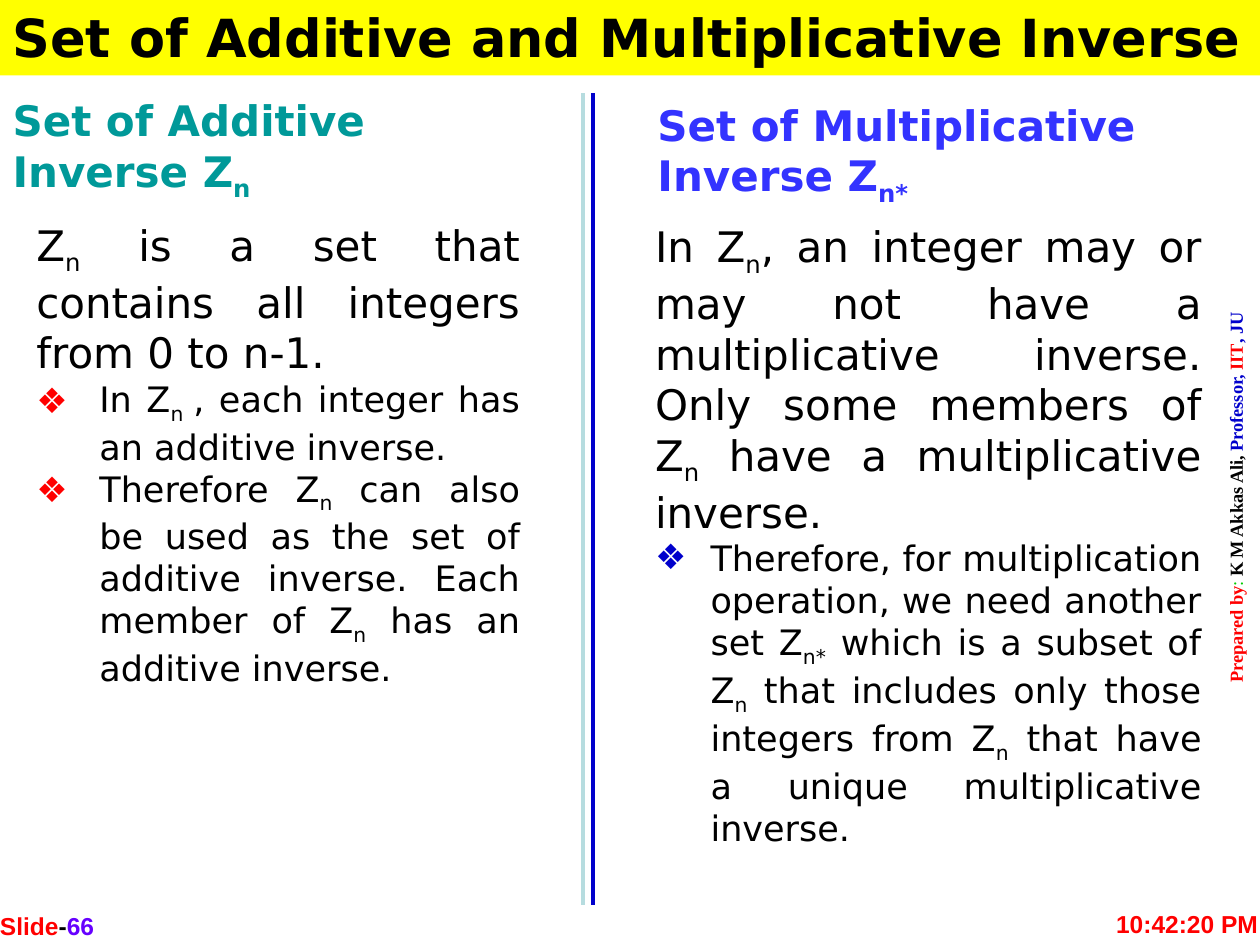
"""Build the slide that compares additive and multiplicative inverse sets."""
from dataclasses import dataclass

from lxml import etree
from pptx import Presentation
from pptx.dml.color import RGBColor
from pptx.enum import shapes, text
from pptx.oxml.ns import qn
from pptx.util import Cm, Pt


@dataclass(frozen=True)
class Theme:
    sans: str = "DejaVu Sans"
    serif: str = "Times New Roman"
    footer_font: str = "Arial"
    title_size: float = 30
    lead_size: float = 24
    bullet_size: float = 20
    footer_size: float = 14
    credit_size: float = 10.5
    black: str = "000000"
    red: str = "FF0000"
    green: str = "00CC00"
    blue: str = "0000CC"
    violet: str = "6600FF"
    yellow: str = "FFFF00"
    teal: str = "009999"
    indigo: str = "3333FF"
    pale: str = "B6DCDF"


THEME = Theme()


@dataclass(frozen=True)
class Box:
    left: float
    top: float
    width: float
    height: float


@dataclass(frozen=True)
class Span:
    words: str
    color: str = THEME.black
    bold: bool = False
    subscript: bool = False


@dataclass(frozen=True)
class Block:
    spans: tuple
    size: float
    font: str = THEME.sans
    align: text.PP_ALIGN = text.PP_ALIGN.LEFT
    margin: float = 0
    indent: float = 0
    bullet_color: str = ""


@dataclass(frozen=True)
class Column:
    heading: Block
    heading_box: Box
    body: tuple
    body_box: Box


def math_spans(*pieces: str, color: str = THEME.black, bold: bool = False) -> tuple:
    """Make spans in which every second piece is a subscript."""
    return tuple(Span(piece, color, bold, position % 2 == 1) for position, piece in enumerate(pieces))


def heading(*pieces: str, color: str) -> Block:
    """Make a bold column heading."""
    return Block(math_spans(*pieces, color=color, bold=True), THEME.lead_size)


def lead(*pieces: str, margin: float = 0) -> Block:
    """Make a justified opening paragraph."""
    return Block(math_spans(*pieces), THEME.lead_size, align=text.PP_ALIGN.JUSTIFY, margin=margin)


def bullet(*pieces: str, color: str, hang: float) -> Block:
    """Make a justified paragraph with a diamond bullet."""
    return Block(math_spans(*pieces), THEME.bullet_size, align=text.PP_ALIGN.JUSTIFY,
                 margin=1.27, indent=-hang, bullet_color=color)


def add_bullet_elements(properties, block: Block) -> None:
    """Add the bullet colour, font and character, or switch bullets off."""
    if not block.bullet_color:
        etree.SubElement(properties, qn("a:buNone"))
        return
    color = etree.SubElement(properties, qn("a:buClr"))
    etree.SubElement(color, qn("a:srgbClr"), val=block.bullet_color)
    etree.SubElement(properties, qn("a:buFont"), typeface=THEME.sans)
    etree.SubElement(properties, qn("a:buChar"), char="❖")


def write(shape, box: Box, *blocks: Block) -> None:
    """Place a shape and write its paragraphs run by run."""
    shape.left, shape.top = Cm(box.left), Cm(box.top)
    shape.width, shape.height = Cm(box.width), Cm(box.height)
    frame = shape.text_frame
    frame.word_wrap = True
    frame.auto_size = text.MSO_AUTO_SIZE.NONE
    frame.vertical_anchor = text.MSO_ANCHOR.TOP
    for position, block in enumerate(blocks):
        paragraph = frame.add_paragraph() if position else frame.paragraphs[0]
        properties = paragraph._p.get_or_add_pPr()
        properties.set("marL", str(Cm(block.margin)))
        properties.set("indent", str(Cm(block.indent)))
        add_bullet_elements(properties, block)
        paragraph.alignment = block.align
        paragraph.space_before = Pt(0)
        for span in block.spans:
            run = paragraph.add_run()
            run.text = span.words
            run.font.name = block.font
            run.font.size = Pt(block.size)
            run.font.bold = span.bold
            run.font.color.rgb = RGBColor.from_string(span.color)
            if span.subscript:
                run._r.get_or_add_rPr().set("baseline", "-25000")


def add_label(slide, box: Box, block: Block, direction: str = "horz") -> None:
    """Add a text box, optionally with turned text."""
    shape = slide.shapes.add_textbox(0, 0, 0, 0)
    write(shape, box, block)
    shape.text_frame._txBody.bodyPr.set("vert", direction)


def add_divider(slide, left: float, color: str) -> None:
    """Add one vertical line between the columns."""
    line = slide.shapes.add_connector(shapes.MSO_CONNECTOR.STRAIGHT, Cm(left), Cm(1.88), Cm(left), Cm(18.24))
    line.line.color.rgb = RGBColor.from_string(color)
    line.line.width = Pt(2.25)
    etree.SubElement(line._element.spPr, qn("a:effectLst"))


COLUMNS = (
    Column(
        heading("Set of Additive Inverse Z", "n", color=THEME.teal),
        Box(0, 1.78, 9.37, 2.31),
        (
            lead("Z", "n", " is a set that contains all integers from 0 to n-1. "),
            bullet("In Z", "n ", ", each integer has an additive inverse. ", color=THEME.red, hang=1.27),
            bullet("Therefore Z", "n", " can also be used as the set of additive inverse. Each member of Z",
                   "n", " has an additive inverse. ", color=THEME.red, hang=1.27),
        ),
        Box(0.48, 4.29, 10.26, 9.32),
    ),
    Column(
        heading("Set of Multiplicative Inverse Z", "n*", color=THEME.indigo),
        Box(13, 1.88, 11.86, 2.31),
        (
            lead("In Z", "n", ", an integer may or may not have a multiplicative inverse. Only some members of Z",
                 "n", " have a multiplicative inverse. ", margin=0.15),
            bullet("Therefore, for multiplication operation, we need another set Z", "n*",
                   " which is a subset of Z", "n", " that includes only those integers from Z", "n",
                   " that have a unique multiplicative inverse.", color=THEME.blue, hang=1.12),
        ),
        Box(12.8, 4.32, 11.68, 12.4),
    ),
)

CREDIT = Block(
    (
        Span("Prepared by", THEME.red, True),
        Span(": ", THEME.green),
        Span("K M Akkas Ali, ", THEME.black, True),
        Span("Professor, ", THEME.blue, True),
        Span("IIT", THEME.red, True),
        Span(", JU", THEME.blue, True),
    ),
    THEME.credit_size, THEME.serif, text.PP_ALIGN.CENTER,
)
CLOCK = Block((Span("10:42:20 PM", THEME.red, True),), THEME.footer_size, THEME.footer_font)
NUMBER = Block(
    (Span("Slide", THEME.red, True), Span("-", THEME.black, True), Span("66", THEME.violet, True)),
    THEME.footer_size, THEME.footer_font,
)


def main() -> None:
    """Build and save the presentation."""
    presentation = Presentation()
    presentation.slide_width, presentation.slide_height = Cm(25.4), Cm(19.05)
    slide = presentation.slides.add_slide(presentation.slide_layouts.get_by_name("Comparison"))
    title, *placeholders = slide.placeholders
    title.fill.solid()
    title.fill.fore_color.rgb = RGBColor.from_string(THEME.yellow)
    write(title, Box(0, -0.03, 25.4, 1.55),
          Block((Span("Set of Additive and Multiplicative Inverse", bold=True),), THEME.title_size))
    for column, head, body in zip(COLUMNS, placeholders[::2], placeholders[1::2]):
        write(head, column.heading_box, column.heading)
        write(body, column.body_box, *column.body)
    add_label(slide, Box(22.25, 18.21, 3.78, 1.32), CLOCK)
    add_label(slide, Box(24.56, 1.24, 0.97, 17.58), CREDIT, "vert270")
    add_label(slide, Box(-0.25, 18.24, 5.92, 1.32), NUMBER)
    add_divider(slide, 11.75, THEME.pale)
    add_divider(slide, 11.96, THEME.blue)
    presentation.save("out.pptx")


if __name__ == "__main__":
    main()
